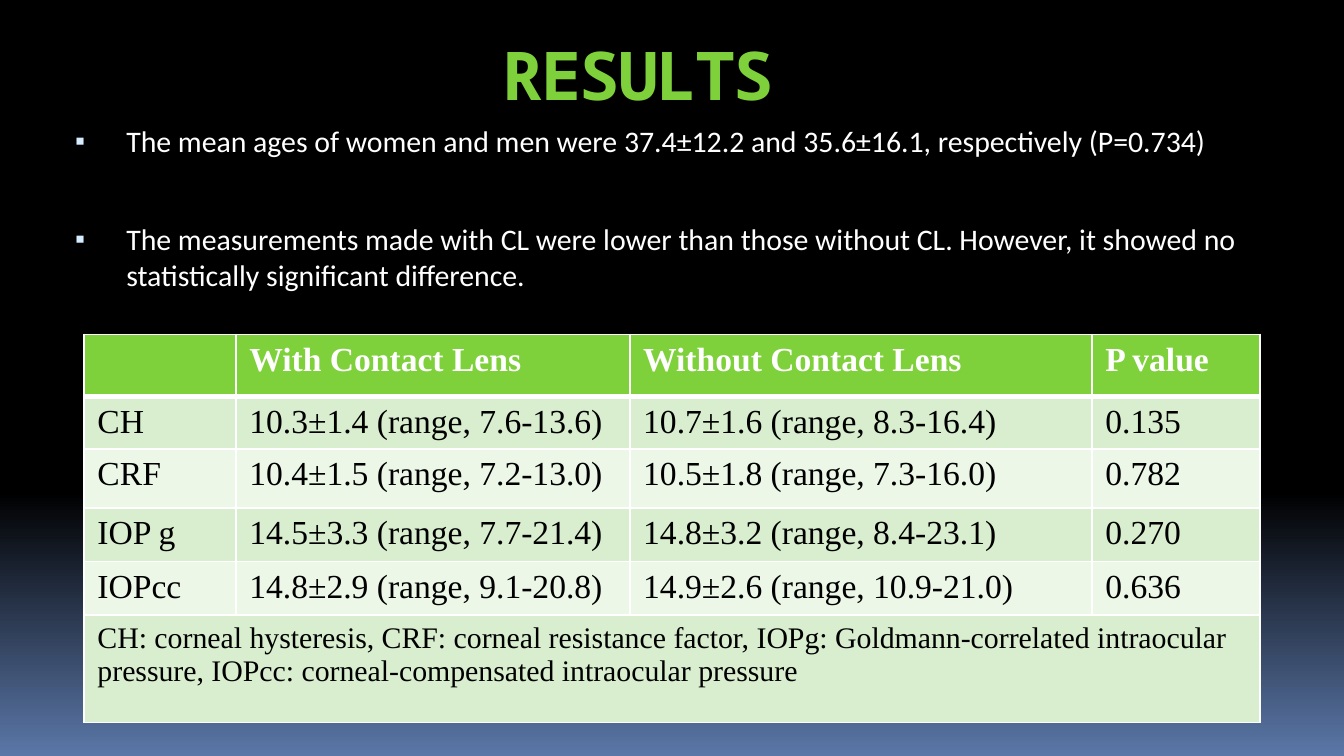
from dataclasses import dataclass

from lxml import etree
from pptx import Presentation
from pptx.dml.color import RGBColor
from pptx.enum.text import MSO_ANCHOR, MSO_AUTO_SIZE, PP_ALIGN
from pptx.oxml.ns import qn
from pptx.util import Pt

CENTER = PP_ALIGN.CENTER
MIDDLE, TOP = MSO_ANCHOR.MIDDLE, MSO_ANCHOR.TOP
NO_AUTOFIT = MSO_AUTO_SIZE.NONE

BLACK = RGBColor(0x00, 0x00, 0x00)
WHITE = RGBColor(0xFF, 0xFF, 0xFF)
GREEN = RGBColor(0x7F, 0xD1, 0x3B)
BAND_DARK = RGBColor(0xD8, 0xEE, 0xCE)
BAND_LIGHT = RGBColor(0xEC, 0xF7, 0xE8)
BULLET_BLUE = RGBColor(0xD6, 0xEC, 0xFF)
DUSK_BLUE = RGBColor(0x5B, 0x77, 0xA8)


@dataclass(frozen=True)
class TextStyle:
    font: str
    size: float
    color: RGBColor
    bold: bool = False


@dataclass(frozen=True)
class Frame:
    left: float
    top: float
    width: float
    height: float


TITLE_STYLE = TextStyle("Noto Sans Mono", 36, GREEN, True)
BULLET_STYLE = TextStyle("Calibri", 16, WHITE)
HEADER_STYLE = TextStyle("Times New Roman", 18, WHITE, True)
VALUE_STYLE = TextStyle("Times New Roman", 18, BLACK)
NOTE_STYLE = TextStyle("Times New Roman", 16, BLACK)

FINDINGS = [
    "The mean ages of women and men were 37.4±12.2 and 35.6±16.1, respectively (P=0.734)",
    "The measurements made with CL were lower than those without CL. "
    "However, it showed no statistically significant difference.",
]
FINDING_GAP = 33.5
ROWS = [
    ["", "With Contact Lens", "Without Contact Lens", "P value"],
    ["CH", "10.3±1.4 (range, 7.6-13.6)", "10.7±1.6 (range, 8.3-16.4)", "0.135"],
    ["CRF", "10.4±1.5 (range, 7.2-13.0)", "10.5±1.8 (range, 7.3-16.0)", "0.782"],
    ["IOP g", "14.5±3.3 (range, 7.7-21.4)", "14.8±3.2 (range, 8.4-23.1)", "0.270"],
    ["IOPcc", "14.8±2.9 (range, 9.1-20.8)", "14.9±2.6 (range, 10.9-21.0)", "0.636"],
    ["CH: corneal hysteresis, CRF: corneal resistance factor, IOPg: Goldmann-correlated "
     "intraocular pressure, IOPcc: corneal-compensated intraocular pressure", "", "", ""],
]
COLUMN_WIDTHS = [81.4, 211, 247.6, 90]
ROW_HEIGHTS = [33.2, 28.1, 31.7, 28.6, 28.8, 57.6]
NOTE_ROW = len(ROWS) - 1


def style_paragraph(para, style: TextStyle) -> None:
    font = para.font
    font.name, font.size, font.bold = style.font, Pt(style.size), style.bold
    font.color.rgb = style.color


def place(box, frame: Frame, anchor) -> None:
    box.left, box.top = Pt(frame.left), Pt(frame.top)
    box.width, box.height = Pt(frame.width), Pt(frame.height)
    box.text_frame.word_wrap = True
    box.text_frame.auto_size = NO_AUTOFIT
    box.text_frame.vertical_anchor = anchor


def add_bullet(para) -> None:
    properties = para._p.get_or_add_pPr()
    properties.set("marL", str(Pt(32.4)))
    properties.set("indent", str(-Pt(27.4)))
    color = etree.SubElement(properties, qn("a:buClr"))
    etree.SubElement(color, qn("a:srgbClr"), val=str(BULLET_BLUE))
    etree.SubElement(properties, qn("a:buSzPct"), val="95000")
    etree.SubElement(properties, qn("a:buChar"), char="▪")


def set_borders(cell, top: float, bottom: float) -> None:
    properties = cell._tc.get_or_add_tcPr()
    widths = {"a:lnL": 1, "a:lnR": 1, "a:lnT": top, "a:lnB": bottom}
    for position, (side, width) in enumerate(widths.items()):
        line = etree.Element(qn(side), w=str(Pt(width)))
        fill = etree.SubElement(line, qn("a:solidFill"))
        etree.SubElement(fill, qn("a:srgbClr"), val=str(WHITE))
        properties.insert(position, line)


def fill_background(page) -> None:
    fill = page.background.fill
    fill.gradient()
    fill.gradient_angle = 270
    for stop, color, position in zip(fill.gradient_stops, (BLACK, DUSK_BLUE), (0.65, 1)):
        stop.color.rgb, stop.position = color, position


def fill_title(box) -> None:
    place(box, Frame(0, 11.5, 684, 56.2), MIDDLE)
    box.text_frame.text = "RESULTS"
    para = box.text_frame.paragraphs[0]
    para.alignment = CENTER
    style_paragraph(para, TITLE_STYLE)
    # Tighten the letter spacing by one point
    para._p.pPr.find(qn("a:defRPr")).set("spc", "-100")


def fill_findings(box) -> None:
    place(box, Frame(28.1, 61.9, 655.9, 101.5), TOP)
    box.text_frame.text = "\n".join(FINDINGS)
    for number, para in enumerate(box.text_frame.paragraphs):
        add_bullet(para)
        para.space_before = Pt(FINDING_GAP if number else 0)
        style_paragraph(para, BULLET_STYLE)


def row_look(row: int) -> tuple[TextStyle, RGBColor]:
    if row == 0:
        return HEADER_STYLE, GREEN
    style = NOTE_STYLE if row == NOTE_ROW else VALUE_STYLE
    return style, BAND_DARK if row % 2 else BAND_LIGHT


def add_measurements(page) -> None:
    table = page.shapes.add_table(
        len(ROWS), len(COLUMN_WIDTHS), Pt(45), Pt(179.2),
        Pt(sum(COLUMN_WIDTHS)), Pt(sum(ROW_HEIGHTS))).table
    table.horz_banding = False
    for column, width in zip(table.columns, COLUMN_WIDTHS):
        column.width = Pt(width)
    for row, (height, texts) in enumerate(zip(ROW_HEIGHTS, ROWS)):
        table.rows[row].height = Pt(height)
        style, color = row_look(row)
        for column, text in enumerate(texts):
            cell = table.cell(row, column)
            cell.text = text
            cell.fill.solid()
            cell.fill.fore_color.rgb = color
            set_borders(cell, top=3 if row == 1 else 1, bottom=3 if row == 0 else 1)
            style_paragraph(cell.text_frame.paragraphs[0], style)
    # The abbreviations run across the whole last row
    table.cell(NOTE_ROW, 0).merge(table.cell(NOTE_ROW, len(COLUMN_WIDTHS) - 1))


def main() -> None:
    deck = Presentation()
    deck.slide_width, deck.slide_height = Pt(720), Pt(405)
    page = deck.slides.add_slide(deck.slide_layouts[1])
    fill_background(page)
    fill_title(page.shapes.title)
    fill_findings(page.placeholders[1])
    add_measurements(page)
    deck.save("out.pptx")


if __name__ == "__main__":
    main()
